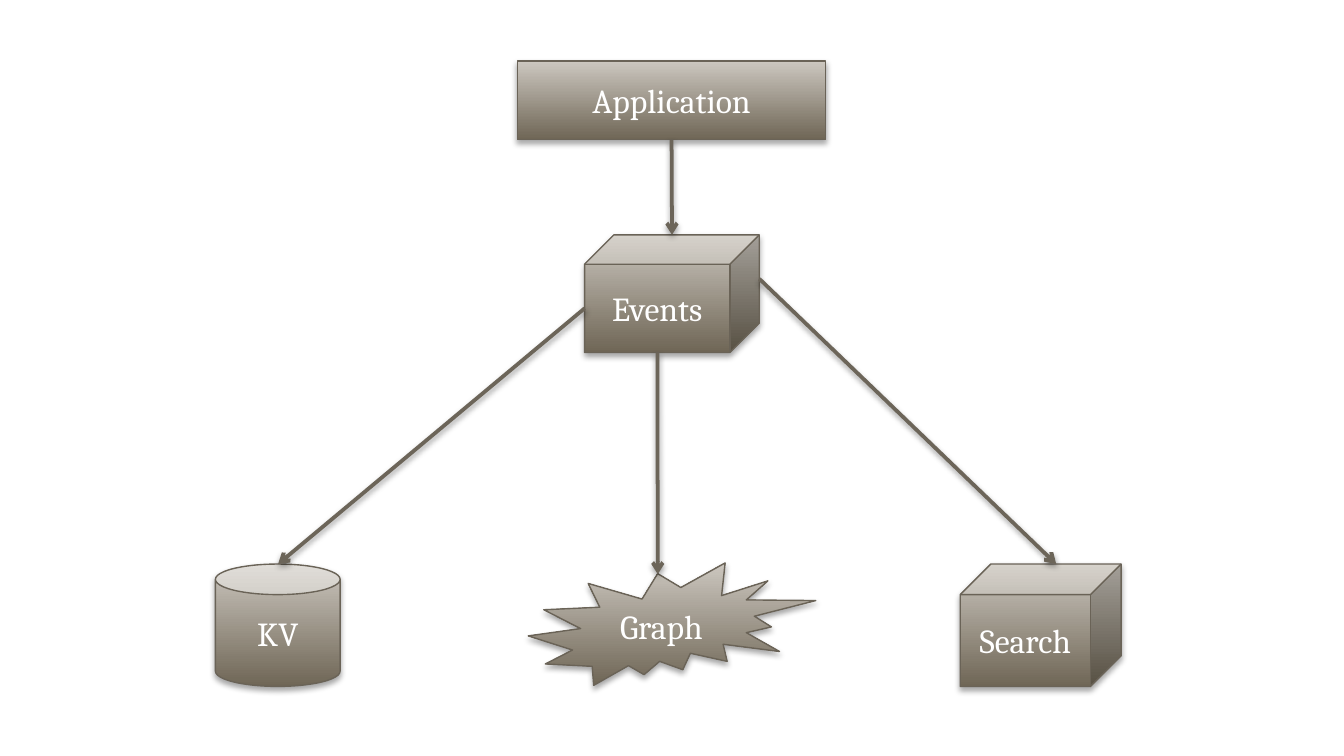
from lxml import etree
from pptx import Presentation
from pptx.dml.color import RGBColor
from pptx.enum import shapes, text
from pptx.oxml import ns
from pptx.util import Pt

KIND = shapes.MSO_SHAPE


def color(value):
    return RGBColor.from_string(value)


def add_shadow(item, opacity, distance):
    """Give a shape or connector a soft shadow straight below it."""
    properties = item._element.spPr
    for old in properties.findall(ns.qn("a:effectLst")):
        properties.remove(old)
    effects = etree.SubElement(properties, ns.qn("a:effectLst"))
    shadow = etree.SubElement(
        effects, ns.qn("a:outerShdw"), blurRad=str(Pt(3.15)),
        dist=str(Pt(distance)), dir="5400000", rotWithShape="0")
    black = etree.SubElement(shadow, ns.qn("a:srgbClr"), val="000000")
    etree.SubElement(black, ns.qn("a:alpha"), val=str(opacity * 1000))


deck = Presentation()
deck.slide_width, deck.slide_height = Pt(720), Pt(405)
page = deck.slides.add_slide(deck.slide_layouts[6])

# Components: label, kind, left, top, width, height
components = [
    ("Application", KIND.RECTANGLE, 277.2, 32.8, 165.2, 42),
    ("KV", KIND.CAN, 115.4, 302.2, 66.8, 65.6),
    ("Search", KIND.CUBE, 514.4, 302.2, 86.2, 65.6),
    ("Graph", KIND.EXPLOSION2, 283, 301.6, 154, 65.6),
    ("Events", KIND.CUBE, 313.2, 125.8, 93.6, 63),
]
boxes = {}
for label, kind, left, top, width, height in components:
    box = page.shapes.add_shape(kind, Pt(left), Pt(top), Pt(width), Pt(height))
    boxes[label] = box

    box.fill.gradient()
    box.fill.gradient_angle = 90
    for stop, shade in zip(box.fill.gradient_stops, ("6F6656", "CCC7BF")):
        stop.color.rgb = color(shade)
    box.line.color.rgb = color("6A6357")
    box.line.width = Pt(0.75)
    box.shadow.inherit = False
    add_shadow(box, 35, 1.8)

    box.text_frame.vertical_anchor = text.MSO_ANCHOR.MIDDLE
    para = box.text_frame.paragraphs[0]
    para.text = label
    para.alignment = text.PP_ALIGN.CENTER
    para.font.name = "Cambria"
    para.font.size = Pt(18)
    para.font.color.rgb = color("FFFFFF")

# Arrows: source, target, then both end points
arrows = [
    ("Application", "Events", 360, 74.8, 360, 125.8),
    ("Events", "KV", 313.2, 165.2, 149, 302.2),
    ("Events", "Graph", 352.2, 188.8, 352.4, 307.6),
    ("Events", "Search", 406.8, 149.4, 565.8, 302.2),
]
for source, target, *ends in arrows:
    arrow = page.shapes.add_connector(
        shapes.MSO_CONNECTOR.STRAIGHT, *[Pt(value) for value in ends])
    arrow.line.color.rgb = color("6C6559")
    arrow.line.width = Pt(2)
    etree.SubElement(arrow.line._get_or_add_ln(), ns.qn("a:tailEnd"), type="arrow")
    add_shadow(arrow, 38, 1.6)
    if source == "Application":
        arrow.begin_connect(boxes[source], 2)

deck.save("out.pptx")
